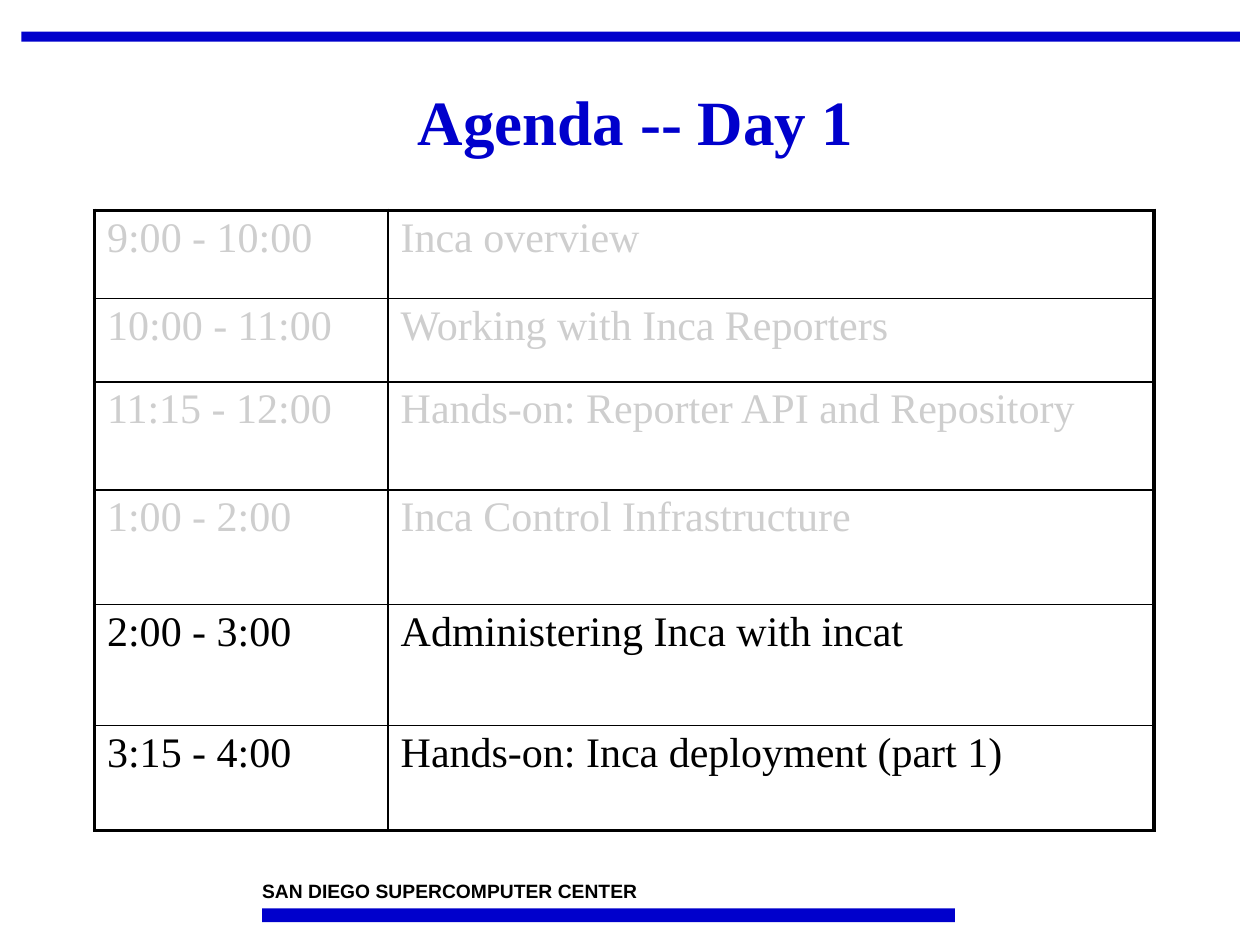
from dataclasses import dataclass

import pptx
import pptx.dml.color
import pptx.enum.shapes
import pptx.enum.text
import pptx.oxml
import pptx.oxml.ns
import pptx.util
from pptx.util import Inches


@dataclass(frozen=True)
class Theme:
    blue: str = "0000CC"
    black: str = "000000"
    faded: str = "CECECE"
    serif: str = "Times New Roman"
    sans: str = "Arial"
    title_size: float = 36
    table_size: float = 24
    footer_size: float = 11
    outer_line: float = 2.25
    inner_line: float = 1


theme = Theme()


def style(paragraph, font_name, size, color, bold=False):
    paragraph.font.name = font_name
    paragraph.font.size = pptx.util.Pt(size)
    paragraph.font.bold = bold
    paragraph.font.color.rgb = pptx.dml.color.RGBColor.from_string(color)


def add_border(cell, side, width):
    """Draw one side of a cell: L, R, T or B, to be added in that order."""
    line = pptx.oxml.parse_xml(
        f'<a:ln{side} {pptx.oxml.ns.nsdecls("a")} w="{pptx.util.Pt(width)}">'
        f'<a:solidFill><a:srgbClr val="{theme.black}"/></a:solidFill></a:ln{side}>'
    )
    cell._tc.get_or_add_tcPr().append(line)


presentation = pptx.Presentation()
presentation.slide_width = Inches(10)
presentation.slide_height = Inches(7.5)
slide = presentation.slides.add_slide(presentation.slide_layouts[6])

# Bars at the head and foot
for left, top, width, height in [(0.17, 0.25, 9.67, 0.08), (2.08, 7.21, 5.5, 0.11)]:
    bar = slide.shapes.add_shape(
        pptx.enum.shapes.MSO_SHAPE.RECTANGLE,
        Inches(left), Inches(top), Inches(width), Inches(height),
    )
    bar.shadow.inherit = False
    bar.fill.solid()
    bar.fill.fore_color.rgb = pptx.dml.color.RGBColor.from_string(theme.blue)
    bar.line.fill.background()

# Footer
footer = slide.shapes.add_textbox(Inches(2.08), Inches(6.98), Inches(3.75), Inches(0.18))
frame = footer.text_frame
frame.word_wrap = True
frame.margin_left = frame.margin_right = frame.margin_top = frame.margin_bottom = 0
frame.text = "SAN DIEGO SUPERCOMPUTER CENTER"
style(frame.paragraphs[0], theme.sans, theme.footer_size, theme.black, bold=True)

# Title
title = slide.shapes.add_textbox(Inches(0.42), Inches(0.42), Inches(9.25), Inches(1.14))
frame = title.text_frame
frame.word_wrap = True
frame.vertical_anchor = pptx.enum.text.MSO_ANCHOR.MIDDLE
frame.text = "Agenda -- Day 1"
paragraph = frame.paragraphs[0]
paragraph.alignment = pptx.enum.text.PP_ALIGN.CENTER
paragraph.line_spacing = 0.9
style(paragraph, theme.serif, theme.title_size, theme.blue, bold=True)

# Agenda: row height, time, session, colour
agenda = [
    (0.7, "9:00 - 10:00", "Inca overview", theme.faded),
    (0.66, "10:00 - 11:00", "Working with Inca Reporters", theme.faded),
    (0.86, "11:15 - 12:00", "Hands-on: Reporter API and Repository", theme.faded),
    (0.91, "1:00 - 2:00", "Inca Control Infrastructure", theme.faded),
    (0.96, "2:00 - 3:00", "Administering Inca with incat", theme.black),
    (0.83, "3:15 - 4:00", "Hands-on: Inca deployment (part 1)", theme.black),
]
column_widths = [2.33, 6.08]
table = slide.shapes.add_table(
    len(agenda), len(column_widths),
    Inches(0.75), Inches(1.67),
    Inches(sum(column_widths)), Inches(sum(row[0] for row in agenda)),
).table
table.first_row = False
table.horz_banding = False
for column, width in zip(table.columns, column_widths):
    column.width = Inches(width)

last_row = len(agenda) - 1
last_column = len(column_widths) - 1
for row_index, (height, time, session, color) in enumerate(agenda):
    table.rows[row_index].height = Inches(height)
    for column_index, text in enumerate((time, session)):
        cell = table.cell(row_index, column_index)
        cell.text = text
        paragraph = cell.text_frame.paragraphs[0]
        paragraph.line_spacing = 0.95
        style(paragraph, theme.serif, theme.table_size, color)
        outer_sides = {
            "L": column_index == 0,
            "R": column_index == last_column,
            "T": row_index == 0,
            "B": row_index == last_row,
        }
        for side, is_outer in outer_sides.items():
            add_border(cell, side, theme.outer_line if is_outer else theme.inner_line)
        cell.fill.background()

presentation.save("out.pptx")
